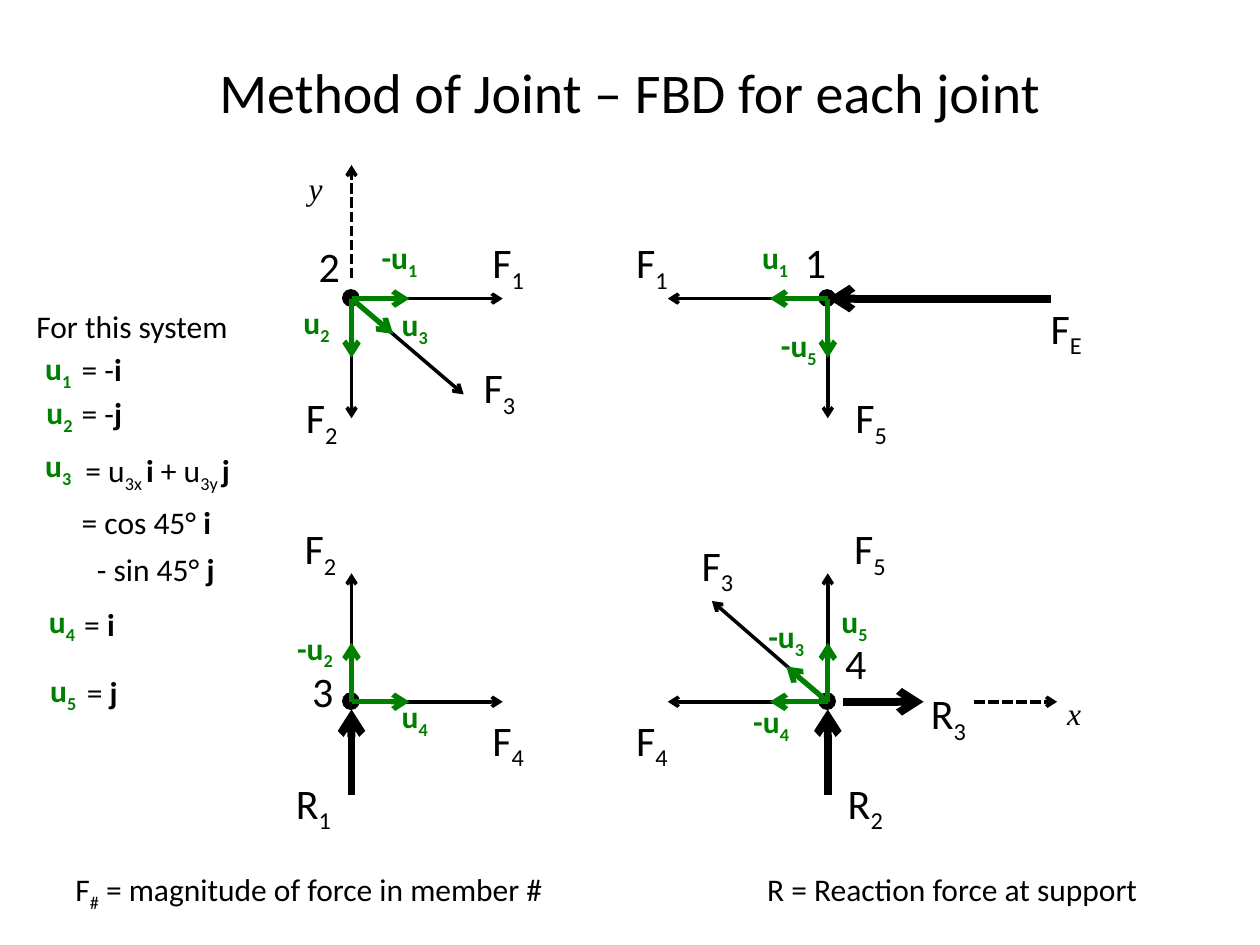
from lxml.etree import SubElement
from pptx import Presentation
from pptx.dml.color import RGBColor
from pptx.enum.dml import MSO_LINE
from pptx.enum.shapes import MSO_CONNECTOR, MSO_SHAPE
from pptx.enum.text import MSO_ANCHOR, MSO_AUTO_SIZE, PP_ALIGN
from pptx.oxml.ns import qn
from pptx.util import Emu, Pt

PX = 9144  # 100 px to the inch
BLACK, GREEN = "000000", "008000"

# Text styles: font attributes, colour, box height
STYLES = {
    "title": ({"name": "Calibri", "size": Pt(32)}, BLACK, 125),
    "label": ({"name": "Calibri", "size": Pt(24)}, BLACK, 50),
    "note": ({"name": "Calibri", "size": Pt(18)}, BLACK, 40),
    "unit": ({"name": "Calibri", "size": Pt(18), "bold": True}, GREEN, 40),
    "axis": ({"name": "Times New Roman", "size": Pt(18), "italic": True}, BLACK, 40),
}

# Offsets from a joint to the tip of a member force and of its unit vector
DIRECTIONS = {
    "right": ((120, 0), (46, 0)),
    "left": ((-127, 0), (-46, 0)),
    "down": ((0, 95), (0, 47)),
    "up": ((0, -102), (0, -47)),
    "down right": ((89, 76), (33, 28)),
    "up left": ((-92, -80), (-33, -28)),
}

# Joint: number, centre, number position, and its members as
# direction, member number, force position, unit vector, unit position
JOINTS = [
    ("2", (279, 237), (243, 186), [
        ("right", "1", (381, 183), "-u", (293, 184)),
        ("down", "2", (233, 306), "u", (231, 236)),
        ("down right", "3", (374, 282), "u", (309, 237)),
    ]),
    ("1", (657, 237), (629, 183), [
        ("left", "1", (495, 183), "u", (595, 184)),
        ("down", "5", (669, 306), "-u", (610, 254)),
    ]),
    ("3", (279, 557), (238, 523), [
        ("up", "2", (232, 410), "-u", (226, 494)),
        ("right", "4", (381, 562), "u", (309, 548)),
    ]),
    ("4", (657, 557), (661, 501), [
        ("left", "4", (495, 562), "-u", (588, 552)),
        ("up", "5", (668, 410), "u", (658, 473)),
        ("up left", "3", (547, 423), "-u", (600, 485)),
    ]),
]

# Outer forces: start, tip, letter, subscript, label position, label width
OUTER_FORCES = [
    ((834, 237), (657, 237), "F", "E", (824, 235), 47),
    ((279, 631), (279, 563), "R", "1", (225, 612), 50),
    ((657, 631), (657, 563), "R", "2", (663, 612), 50),
    ((669, 557), (733, 557), "R", "3", (729, 541), 50),
]

# Axes: start, tip, name, name position
AXES = [
    ((773, 557), (839, 557), "x", (837, 546)),
    ((279, 221), (279, 131), "y", (235, 129)),
]

# Unit vectors of this system: number and position
UNIT_NAMES = [("1", (26, 272)), ("2", (27, 307)), ("3", (26, 349)),
              ("4", (29, 473)), ("5", (30, 528))]

# Notes: position, width, runs of (text, kind)
NOTES = [
    ((19, 239), 175, [("For this system", "")]),
    ((55, 273), 52, [("= -", ""), ("i", "bold")]),
    ((55, 308), 53, [("= -", ""), ("j", "bold")]),
    ((58, 353), 141, [("= u", ""), ("3x ", "sub"), ("i ", "bold"),
                      ("+ u", ""), ("3y ", "sub"), ("j", "bold")]),
    ((55, 394), 125, [("= cos 45° ", ""), ("i", "bold")]),
    ((67, 432), 114, [("- sin 45° ", ""), ("j", "bold")]),
    ((57, 475), 45, [("= ", ""), ("i", "bold")]),
    ((59, 529), 45, [("= ", ""), ("j", "bold")]),
    ((50, 686), 401, [("F", ""), ("#", "sub"),
                      (" = magnitude of force in member #", "")]),
    ((599, 686), 319, [("R = Reaction force at support", "")]),
]


def color(value):
    return RGBColor.from_string(value)


def px(*lengths):
    return [Emu(length * PX) for length in lengths]


def shifted(point, offset):
    return point[0] + offset[0], point[1] + offset[1]


class Diagram:
    """Draws the elements of a free-body diagram on one slide."""

    def __init__(self, slide, styles):
        self.slide = slide
        self.styles = styles

    def add_runs(self, paragraph, runs, style):
        attributes, text_color, _ = self.styles[style]
        for text, kind in runs:
            run = paragraph.add_run()
            run.text = text
            for name, value in attributes.items():
                setattr(run.font, name, value)
            run.font.color.rgb = color(text_color)
            if kind == "bold":
                run.font.bold = True
            elif kind == "sub":
                run.font._element.set("baseline", "-25000")

    def title(self, text, left, top, width):
        shape = self.slide.shapes.title
        box = px(left, top, width, self.styles["title"][2])
        shape.left, shape.top, shape.width, shape.height = box
        shape.text_frame.vertical_anchor = MSO_ANCHOR.MIDDLE
        paragraph = shape.text_frame.paragraphs[0]
        paragraph.alignment = PP_ALIGN.CENTER
        self.add_runs(paragraph, [(text, "")], "title")

    def text(self, position, width, runs, style):
        height = self.styles[style][2]
        shape = self.slide.shapes.add_textbox(*px(*position, width, height))
        shape.text_frame.word_wrap = False
        shape.text_frame.auto_size = MSO_AUTO_SIZE.SHAPE_TO_FIT_TEXT
        self.add_runs(shape.text_frame.paragraphs[0], runs, style)

    def symbol(self, position, width, letter, subscript, style):
        self.text(position, width, [(letter, ""), (subscript, "sub")], style)

    def arrow(self, start, tip, width, line_color=BLACK, dash=None):
        connector = self.slide.shapes.add_connector(
            MSO_CONNECTOR.STRAIGHT, *px(*start, *tip))
        connector.line.color.rgb = color(line_color)
        connector.line.width = Pt(width)
        if dash:
            connector.line.dash_style = dash
        properties = connector._element.spPr
        SubElement(properties.find(qn("a:ln")), qn("a:tailEnd"), type="arrow")
        SubElement(properties, qn("a:effectLst"))

    def dot(self, center, size=13):
        corner = shifted(center, (-size // 2, -size // 2))
        shape = self.slide.shapes.add_shape(
            MSO_SHAPE.OVAL, *px(*corner, size, size))
        shape.shadow.inherit = False
        shape.fill.solid()
        shape.fill.fore_color.rgb = color(BLACK)
        shape.line.color.rgb = color(BLACK)
        shape.line.width = Pt(0.75)

    def joint(self, number, center, number_position, members):
        self.dot(center)
        self.text(number_position, 37, [(number, "")], "label")
        for direction, member, force_position, _, _ in members:
            self.arrow(center, shifted(center, DIRECTIONS[direction][0]), 2)
            self.symbol(force_position, 47, "F", member, "label")
        # Unit vectors lie over the member forces
        for direction, member, _, unit, unit_position in members:
            self.arrow(center, shifted(center, DIRECTIONS[direction][1]), 3, GREEN)
            self.symbol(unit_position, 43 if unit == "u" else 50, unit, member, "unit")


def main():
    presentation = Presentation()
    presentation.slide_width, presentation.slide_height = px(1000, 750)
    slide = presentation.slides.add_slide(presentation.slide_layouts[5])
    diagram = Diagram(slide, STYLES)
    diagram.title("Method of Joint – FBD for each joint", 50, 10, 900)

    # Outer forces, joints and axes
    for start, tip, letter, subscript, position, width in OUTER_FORCES:
        diagram.arrow(start, tip, 4.5)
        diagram.symbol(position, width, letter, subscript, "label")
    for joint in JOINTS:
        diagram.joint(*joint)
    for start, tip, name, position in AXES:
        diagram.arrow(start, tip, 2, dash=MSO_LINE.SQUARE_DOT)
        diagram.text(position, 38, [(name, "")], "axis")

    # Unit vector equations and legend
    for number, position in UNIT_NAMES:
        diagram.symbol(position, 43, "u", number, "unit")
    for position, width, runs in NOTES:
        diagram.text(position, width, runs, "note")

    presentation.save("out.pptx")


if __name__ == "__main__":
    main()
